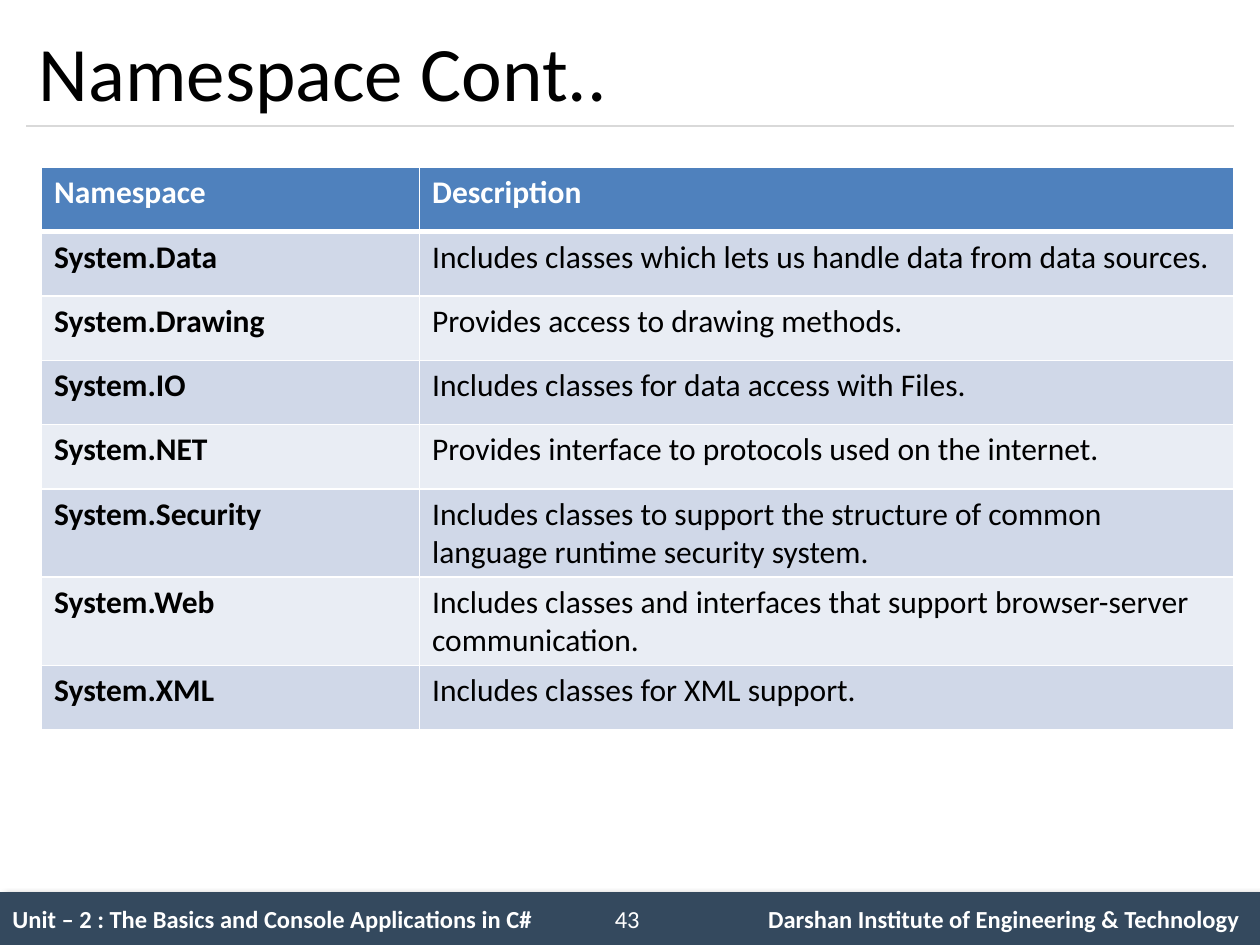
from lxml import etree
from pptx import Presentation
from pptx.dml.color import RGBColor
from pptx.enum.shapes import MSO_CONNECTOR, MSO_SHAPE
from pptx.enum.text import MSO_ANCHOR, PP_ALIGN
from pptx.oxml.ns import qn
from pptx.util import Inches, Pt

LINE, RECT = MSO_CONNECTOR.STRAIGHT, MSO_SHAPE.RECTANGLE
MIDDLE, LEFT = MSO_ANCHOR.MIDDLE, PP_ALIGN.LEFT

WHITE = RGBColor(0xFF, 0xFF, 0xFF)
BLACK = RGBColor(0, 0, 0)
NAVY = RGBColor(0x34, 0x49, 0x5E)
GREY = RGBColor(0xD9, 0xD9, 0xD9)
BLUE = RGBColor(0x4F, 0x81, 0xBD)
BANDS = RGBColor(0xE9, 0xED, 0xF4), RGBColor(0xD0, 0xD8, 0xE8)

WIDTH, HEIGHT = 10, 7.5
EDGE = 0.21
SPAN = WIDTH - 2 * EDGE
RULE = 1
BAR = 0.42

ROWS = [
    ("Namespace", "Description"),
    ("System.Data", "Includes classes which lets us handle data from data sources."),
    ("System.Drawing", "Provides access to drawing methods."),
    ("System.IO", "Includes classes for data access with Files."),
    ("System.NET", "Provides interface to protocols used on the internet."),
    ("System.Security", "Includes classes to support the structure of common "
                        "language runtime security system."),
    ("System.Web", "Includes classes and interfaces that support "
                   "browser-server communication."),
    ("System.XML", "Includes classes for XML support."),
]
FOOT = [
    ("Unit – 2 : The Basics and Console Applications in C#", True),
    ("\t43\t", False),
    ("Darshan Institute of Engineering & Technology", True),
]


def node(parent, tag, **attrs):
    return etree.SubElement(parent, qn(tag), {k: str(v) for k, v in attrs.items()})


class Deck:
    font = "Calibri"

    def __init__(self):
        self.show = Presentation()
        self.show.slide_width = Inches(WIDTH)
        self.show.slide_height = Inches(HEIGHT)
        self.slide = self.show.slides.add_slide(self.show.slide_layouts[6])
        self.shapes = self.slide.shapes

    def style(self, font, size, color, bold=False):
        font.name, font.size, font.bold = self.font, Pt(size), bold
        font.color.rgb = color

    def title(self, text, x, y, w, h):
        frame = self.shapes.add_textbox(*map(Inches, (x, y, w, h))).text_frame
        frame.word_wrap = True
        frame.vertical_anchor = MIDDLE
        frame.text = text
        self.style(frame.paragraphs[0].runs[0].font, 44, BLACK)

    def rule(self, x, y, w):
        line = self.shapes.add_connector(LINE, *map(Inches, (x, y, x + w, y)))
        line.line.color.rgb = GREY
        line.line.width = Pt(0.75)
        node(line._element.spPr, "a:effectLst")

    def footer(self, parts, tabs):
        box = (0, HEIGHT - BAR, WIDTH, BAR)
        bar = self.shapes.add_shape(RECT, *map(Inches, box))
        bar.fill.solid()
        bar.fill.fore_color.rgb = NAVY
        bar.line.fill.background()
        self.shade(bar)
        frame = bar.text_frame
        frame.word_wrap = True
        frame.vertical_anchor = MIDDLE
        para = frame.paragraphs[0]
        para.alignment = LEFT
        stops = node(para._p.get_or_add_pPr(), "a:tabLst")
        for place, side in tabs:
            node(stops, "a:tab", pos=Inches(place), algn=side)
        for text, bold in parts:
            run = para.add_run()
            run.text = text
            self.style(run.font, 14, WHITE, bold)

    def shade(self, shape):
        shape.shadow.inherit = False
        effects = shape._element.spPr.find(qn("a:effectLst"))
        cast = node(effects, "a:outerShdw", blurRad=Pt(4), dist=Pt(3),
                    dir=45 * 60000, algn="tl", rotWithShape=0)
        node(node(cast, "a:srgbClr", val=BLACK), "a:alpha", val=40000)

    def table(self, rows, x, y, widths, step):
        size = (x, y, sum(widths), step * len(rows))
        grid = self.shapes.add_table(len(rows), len(widths), *map(Inches, size)).table
        for col, width in zip(grid.columns, widths):
            col.width = Inches(width)
        for r, texts in enumerate(rows):
            grid.rows[r].height = Inches(step)
            for c, text in enumerate(texts):
                self.cell(grid.cell(r, c), text, r, c)

    def cell(self, cell, text, r, c):
        head = r == 0
        # Borders come before the fill; the header row is set off by a thick one
        for side in "LRTB":
            thick = (head and side == "B") or (r == 1 and side == "T")
            edge = node(cell._tc.get_or_add_tcPr(), "a:ln" + side,
                        w=Pt(3 if thick else 1))
            node(node(edge, "a:solidFill"), "a:srgbClr", val=WHITE)
        cell.fill.solid()
        cell.fill.fore_color.rgb = BLUE if head else BANDS[r % 2]
        cell.text = text
        font = cell.text_frame.paragraphs[0].runs[0].font
        self.style(font, 18, WHITE if head else BLACK, head or c == 0)


def main():
    deck = Deck()
    # Footer bar: centred page number, institute at the right
    deck.footer(FOOT, [(4.88, "ctr"), (9.74, "r")])
    # Heading and its rule
    deck.rule(EDGE, RULE, SPAN)
    deck.title("Namespace Cont..", EDGE, 0.12, SPAN, RULE - 0.12)
    # Namespace table
    deck.table(ROWS, 0.33, 1.33, (3, 6.46), 0.51)
    deck.show.save("out.pptx")


if __name__ == "__main__":
    main()
